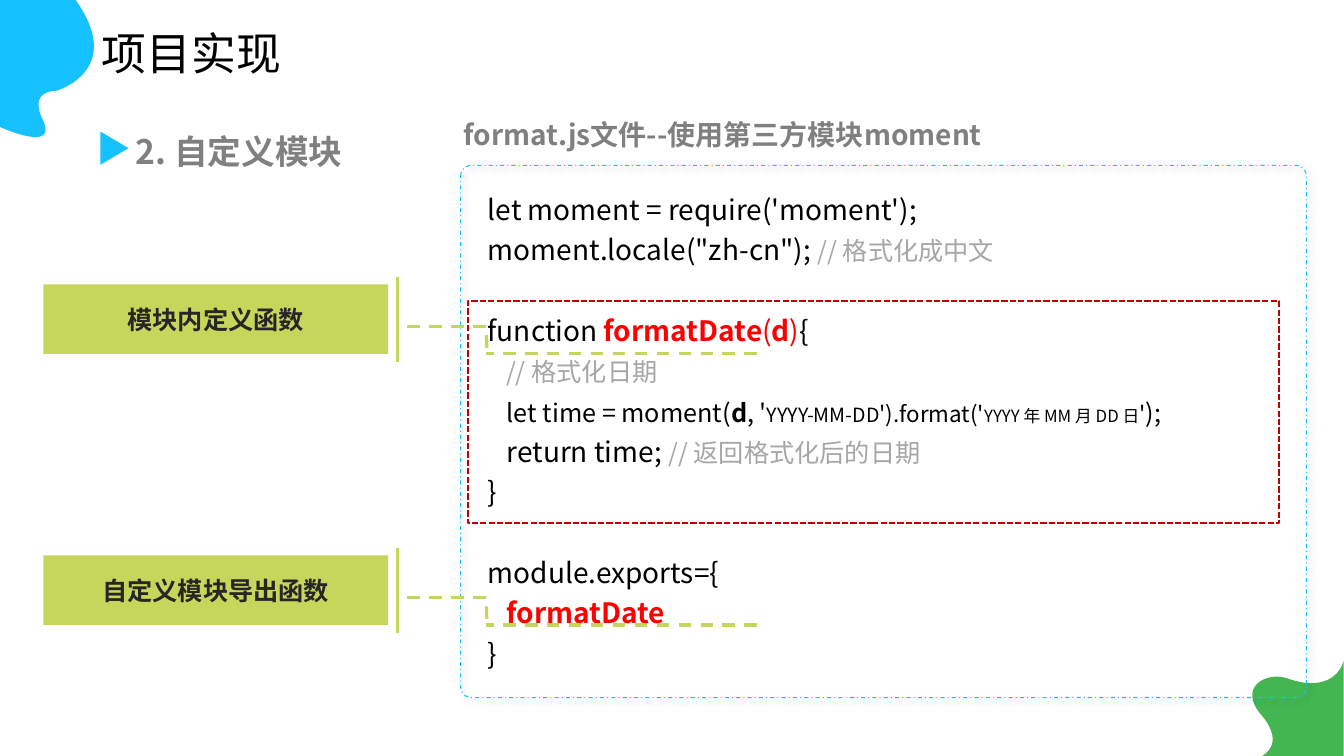
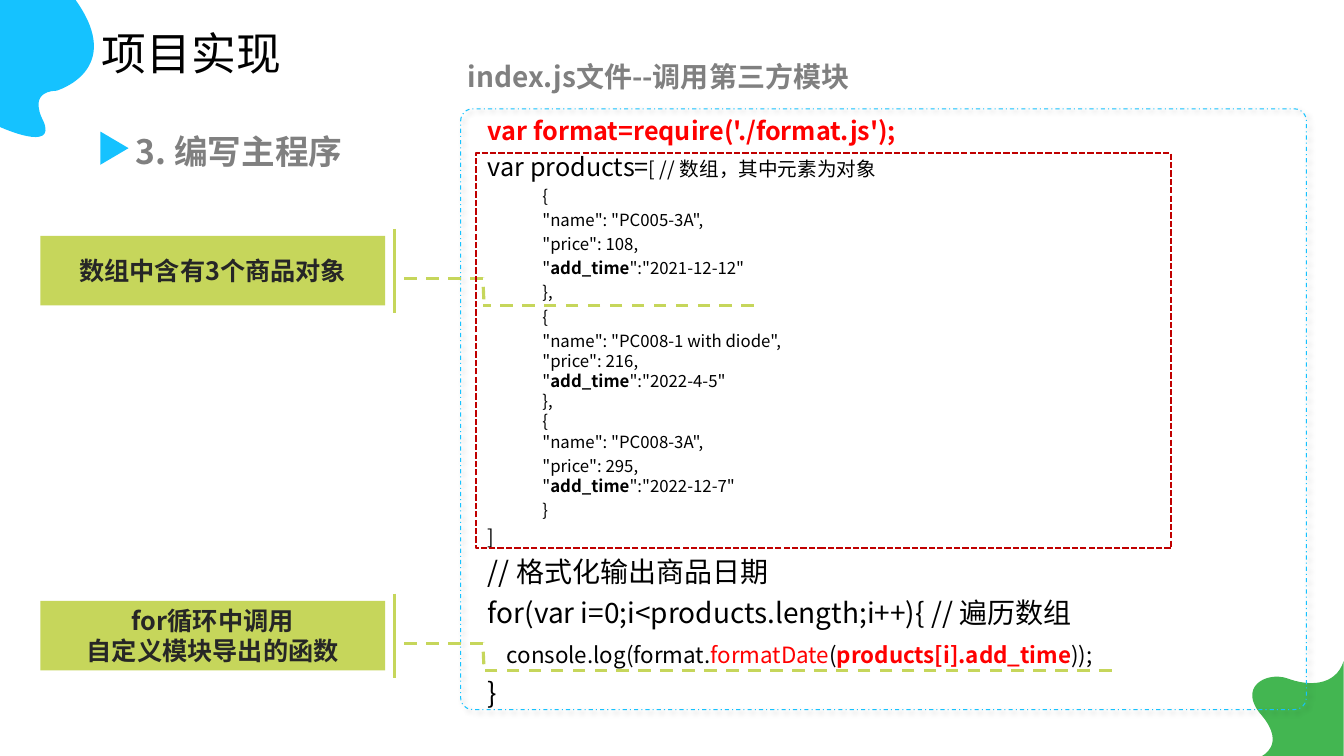
from dataclasses import dataclass

from lxml import etree
from pptx import Presentation
from pptx.dml.color import RGBColor
from pptx.enum.dml import MSO_LINE
from pptx.enum.shapes import MSO_CONNECTOR, MSO_SHAPE
from pptx.enum.text import MSO_ANCHOR, MSO_AUTO_SIZE, PP_ALIGN
from pptx.oxml import parse_xml
from pptx.oxml.ns import qn
from pptx.util import Pt

PX = 9144  # one px is a hundredth of an inch
SLIDE_HEIGHT = 750
FONT = "Noto Sans CJK SC"
DRAWING_NS = "http://schemas.openxmlformats.org/drawingml/2006/main"

BLACK = RGBColor(0x00, 0x00, 0x00)
RED = RGBColor(0xFF, 0x00, 0x00)
DARK_RED = RGBColor(0xC0, 0x00, 0x00)
GREY = RGBColor(0x80, 0x80, 0x80)
LIGHT_GREY = RGBColor(0xA6, 0xA6, 0xA6)
CHARCOAL = RGBColor(0x26, 0x26, 0x26)
BLUE = RGBColor(0x15, 0xC2, 0xFF)
GREEN = RGBColor(0x43, 0xB6, 0x51)
LIME = RGBColor(0xC6, 0xD6, 0x5B)

LEFT, CENTER, JUSTIFY = PP_ALIGN.LEFT, PP_ALIGN.CENTER, PP_ALIGN.JUSTIFY
TOP, MIDDLE = MSO_ANCHOR.TOP, MSO_ANCHOR.MIDDLE
DASH, DASH_DOT, SQUARE_DOT = MSO_LINE.DASH, MSO_LINE.DASH_DOT, MSO_LINE.SQUARE_DOT


@dataclass
class Line:
    """One paragraph: runs are strings or (text, format) pairs."""
    runs: list
    spacing: float = 1.2
    indent: int = 0
    gap: int = 0


# Content
TITLE = "项目实现"
RED_STRONG = dict(color=RED, bold=True)
COMMENT = dict(size=18, color=LIGHT_GREY)
BLANK_LINE = 29  # points

FORMAT_CODE = [
    Line(["let moment = require('moment');"]),
    Line(['moment.locale("zh-cn"); ', ("// 格式化成中文", COMMENT)]),
    Line(["function ", ("formatDate", RED_STRONG), ("(", dict(color=RED)),
          ("d", RED_STRONG), (")", dict(color=RED)), "{"], gap=BLANK_LINE),
    Line(["  ", (" // 格式化日期", COMMENT)]),
    Line(["   ", ("let time = moment(", dict(size=18)), ("d", dict(size=18, bold=True)),
          (", '", dict(size=18)), ("YYYY-MM-DD", dict(size=14)),
          ("').format('", dict(size=16)), ("YYYY 年 MM 月 DD 日", dict(size=12)),
          ("'", dict(size=16)), (");", dict(size=18))]),
    Line(["   return time; ", ("// 返回格式化后的日期", COMMENT)]),
    Line(["}"]),
    Line(["module.exports={"], gap=BLANK_LINE),
    Line(["   ", ("formatDate", RED_STRONG)]),
    Line(["}"]),
]

# name, price, date, line spacing of the five lines
PRODUCTS = [
    ("PC005-3A", 108, "2021-12-12", (1.2, 1.2, 1.2, 1.2, 1.2)),
    ("PC008-1 with diode", 216, "2022-4-5", (1.2, 1.2, 1, 1, 1)),
    ("PC008-3A", 295, "2022-12-7", (1, 1, 1.2, 1, 1.2)),
]


def product_lines():
    small = dict(size=12)
    lines = []
    for number, (name, price, date, spacings) in enumerate(PRODUCTS, 1):
        closing = "}" if number == len(PRODUCTS) else "},"
        rows = [
            [("{", small)],
            [(f'"name": "{name}",', small)],
            [(f'"price": {price},', small)],
            [('"', small), ("add_time", dict(size=12, bold=True)), (f'":"{date}"', small)],
            [(closing, small)],
        ]
        lines += [Line(row, spacing, 54) for row, spacing in zip(rows, spacings)]
    return lines


INDEX_CODE = [
    Line([("var format=require('./format.js');", dict(size=18, color=RED, bold=True))]),
    Line([("var products=", dict(size=18)), ("[ // 数组，其中元素为对象", dict(size=14))]),
    *product_lines(),
    Line([("]", dict(size=14))]),
    Line(["// 格式化输出商品日期"]),
    Line(["for(var i=0;i<products.length;i++){ // 遍历数组"]),
    Line(["   ", ("console.log(format.", dict(size=16)),
          ("formatDate", dict(size=16, color=RED)), ("(", dict(size=16)),
          ("products[i].add_time", dict(size=16, color=RED, bold=True)),
          ("));", dict(size=16))]),
    Line(["}"]),
]

# Boxes are left, top, width, height; a callout is left, top, underline length, lines
SLIDES = [
    dict(heading="2. 自定义模块",
         caption="format.js文件--使用第三方模块moment", caption_box=(460, 117, 744, 34),
         code=FORMAT_CODE, code_box=(484, 184, 764, 485),
         panel=(457, 164, 839, 528), highlight=(464, 299, 805, 220),
         callouts=[(43, 282, 269, ["模块内定义函数"]),
                   (43, 551, 269, ["自定义模块导出函数"])]),
    dict(heading="3. 编写主程序",
         caption="index.js文件--调用第三方模块", caption_box=(464, 59, 744, 34),
         code=INDEX_CODE, code_box=(484, 108, 812, 601),
         panel=(457, 108, 839, 596), highlight=(472, 152, 690, 392),
         callouts=[(40, 596, 624, ["for循环中调用", "自定义模块导出的函数"]),
                   (40, 234, 269, ["数组中含有3个商品对象"])]),
]

# Corner blobs: colour, start point, then three points for each cubic curve
BLOBS = [
    (BLUE, (0, 126), [(0, 126), (57, 152), (43, 120), (43, 120), (26, 91), (56, 90),
                      (56, 90), (125, 70), (75, 0), (0, 0), (0, 0), (0, 0)]),
    (GREEN, (1252, 750), [(1252, 750), (1276, 739), (1252, 710),
                          (1227, 682), (1256, 666), (1277, 673),
                          (1298, 681), (1325, 681), (1333, 656),
                          (1333, 750), (1333, 750), (1333, 750)]),
]


# Helpers
def emu(lengths):
    return [length * PX for length in lengths]


def place(shape, box):
    shape.left, shape.top, shape.width, shape.height = emu(box)


def write(text_frame, lines, size=20, color=BLACK, bold=False, align=LEFT,
          anchor=TOP, margin=None, wrap=True):
    text_frame.auto_size = MSO_AUTO_SIZE.NONE
    text_frame.word_wrap = wrap
    text_frame.vertical_anchor = anchor
    if margin is not None:
        text_frame.margin_left = text_frame.margin_right = margin * PX
        text_frame.margin_top = text_frame.margin_bottom = margin * PX
    for index, line in enumerate(lines):
        paragraph = text_frame.add_paragraph() if index else text_frame.paragraphs[0]
        properties = paragraph._p.get_or_add_pPr()
        properties.set("marL", "0")
        properties.set("indent", str(line.indent * PX))
        etree.SubElement(properties, qn("a:buNone"))
        paragraph.alignment = align
        paragraph.line_spacing = line.spacing
        paragraph.space_before = Pt(line.gap)
        for item in line.runs:
            text, changes = (item, {}) if isinstance(item, str) else item
            run = paragraph.add_run()
            run.text = text
            font = run.font
            font.size = Pt(changes.get("size", size))
            font.bold = changes.get("bold", bold)
            font.color.rgb = changes.get("color", color)
            font.name = FONT
            etree.SubElement(run._r.get_or_add_rPr(), qn("a:ea"), typeface=FONT)


def add_text(slide, box, text, spacing=1, **text_format):
    text_box = slide.shapes.add_textbox(*emu(box))
    write(text_box.text_frame, [Line([text], spacing)], **text_format)


def paint(shape, fill=None, line=None, width=1, dash=None):
    shape.shadow.inherit = False
    if fill is None:
        shape.fill.background()
    else:
        shape.fill.solid()
        shape.fill.fore_color.rgb = fill
    if line is None:
        shape.line.fill.background()
    else:
        shape.line.color.rgb = line
        shape.line.width = Pt(width)
        shape.line.dash_style = dash


def add_line(shapes, start, end, dash=None):
    connector = shapes.add_connector(MSO_CONNECTOR.STRAIGHT, *emu(start + end))
    connector.line.color.rgb = LIME
    connector.line.width = Pt(2.25)
    connector.line.dash_style = dash
    etree.SubElement(connector._element.spPr, qn("a:effectLst"))


def add_blob(slide, color, start, points):
    builder = slide.shapes.build_freeform(*emu(start))
    builder.add_line_segments([emu(point) for point in points], close=True)
    blob = builder.convert_to_shape()
    paint(blob, fill=color)
    # Each three straight segments become one cubic curve
    segments = list(blob._element.iter(qn("a:lnTo")))
    for first, second, third in zip(segments[::3], segments[1::3], segments[2::3]):
        curve = etree.Element(qn("a:cubicBezTo"))
        first.addprevious(curve)
        for segment in (first, second, third):
            curve.append(segment[0])
            segment.getparent().remove(segment)


def add_callout(slide, left, top, underline, labels):
    shapes = slide.shapes.add_group_shape().shapes
    label_box = shapes.add_shape(MSO_SHAPE.RECTANGLE, *emu((left, top, 342, 69)))
    paint(label_box, fill=LIME)
    write(label_box.text_frame, [Line([label], 1) for label in labels],
          size=18, color=CHARCOAL, bold=True, align=CENTER, anchor=MIDDLE)
    bar, elbow = left + 351, left + 439
    add_line(shapes, (elbow + 1, top + 63), (elbow, top + 41), DASH)
    add_line(shapes, (elbow, top + 42), (bar, top + 42), DASH)
    add_line(shapes, (bar, top - 7), (bar, top + 77))
    add_line(shapes, (elbow + underline, top + 69), (elbow, top + 69), DASH)


def add_panel(slide, box):
    panel = slide.shapes.add_shape(MSO_SHAPE.ROUNDED_RECTANGLE, *emu(box))
    panel.adjustments[0] = 0.02
    paint(panel, line=BLUE, width=0.75, dash=DASH_DOT)
    effects = panel._element.spPr.find(qn("a:effectLst"))
    effects.append(parse_xml(
        f'<a:outerShdw xmlns:a="{DRAWING_NS}" blurRad="50800" dist="38100" dir="2700000" '
        'algn="tl" rotWithShape="0"><a:srgbClr val="000000"><a:alpha val="40000"/>'
        '</a:srgbClr></a:outerShdw>'))


def add_frame(slide, heading):
    """Corner blobs, title, section heading and its marker."""
    for color, start, points in BLOBS:
        add_blob(slide, color, start, points)
    place(slide.shapes.title, (91, 21, 210, 64))
    write(slide.shapes.title.text_frame, [Line([TITLE], 1)], size=32, wrap=False)
    add_text(slide, (125, 117, 339, 58), heading, size=24, color=GREY, bold=True, spacing=1.2)
    marker = slide.shapes.add_shape(MSO_SHAPE.ISOSCELES_TRIANGLE, *emu((97, 133, 33, 28)))
    marker.rotation = 90
    paint(marker, fill=BLUE)


def build_slide(presentation, content):
    slide = presentation.slides.add_slide(presentation.slide_layouts[1])
    add_frame(slide, content["heading"])
    # Code listing
    body = slide.placeholders[1]
    place(body, content["code_box"])
    write(body.text_frame, content["code"], align=JUSTIFY, margin=0)
    add_text(slide, content["caption_box"], content["caption"], color=GREY, bold=True, margin=0)
    add_panel(slide, content["panel"])
    # Annotations
    for left, top, underline, labels in content["callouts"]:
        add_callout(slide, left, top, underline, labels)
    highlight = slide.shapes.add_shape(MSO_SHAPE.RECTANGLE, *emu(content["highlight"]))
    paint(highlight, line=DARK_RED, width=1.5, dash=SQUARE_DOT)


def main():
    presentation = Presentation()
    presentation.slide_height = SLIDE_HEIGHT * PX
    presentation.slide_width = SLIDE_HEIGHT * PX * 16 // 9
    for content in SLIDES:
        build_slide(presentation, content)
    presentation.save("out.pptx")


if __name__ == "__main__":
    main()
